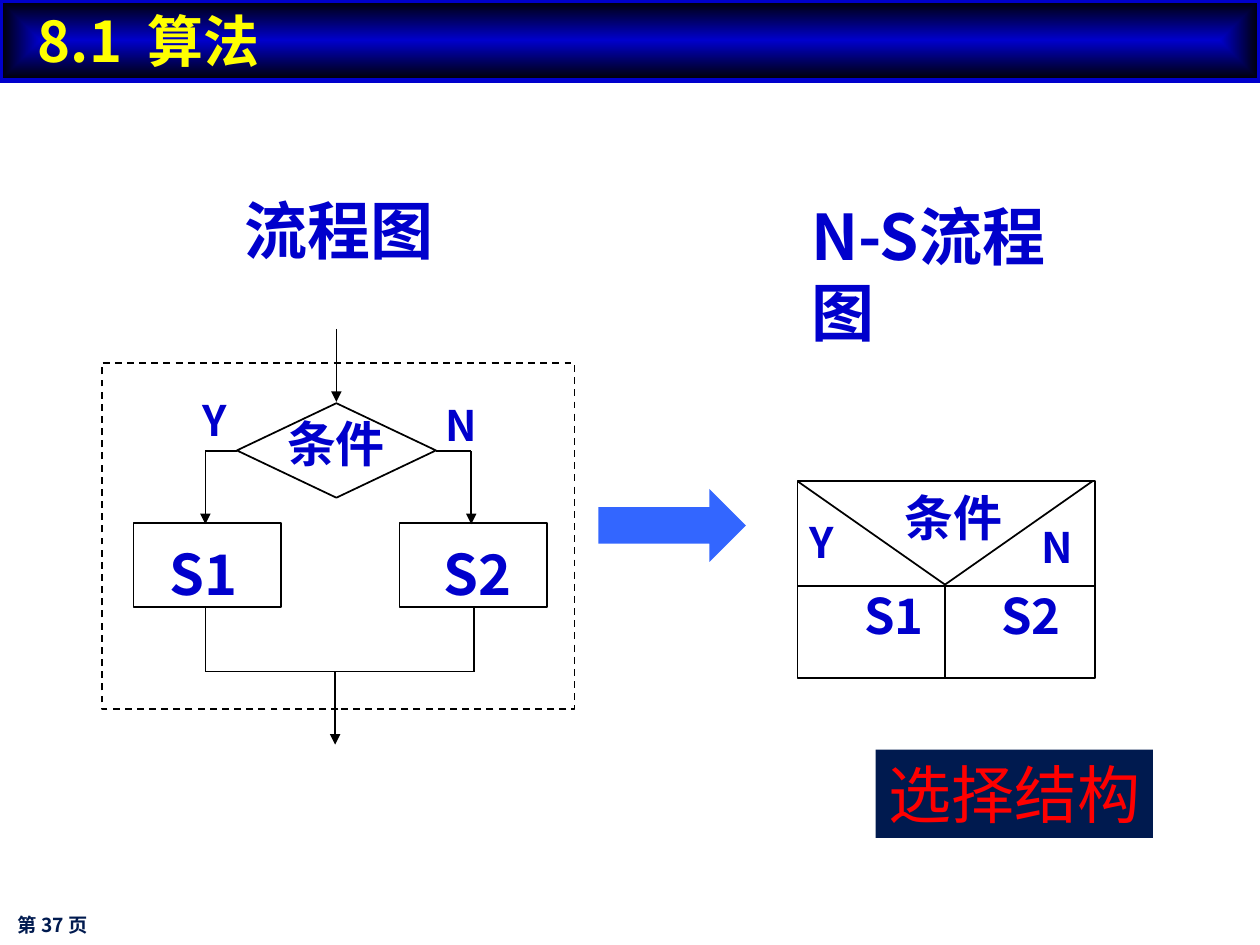
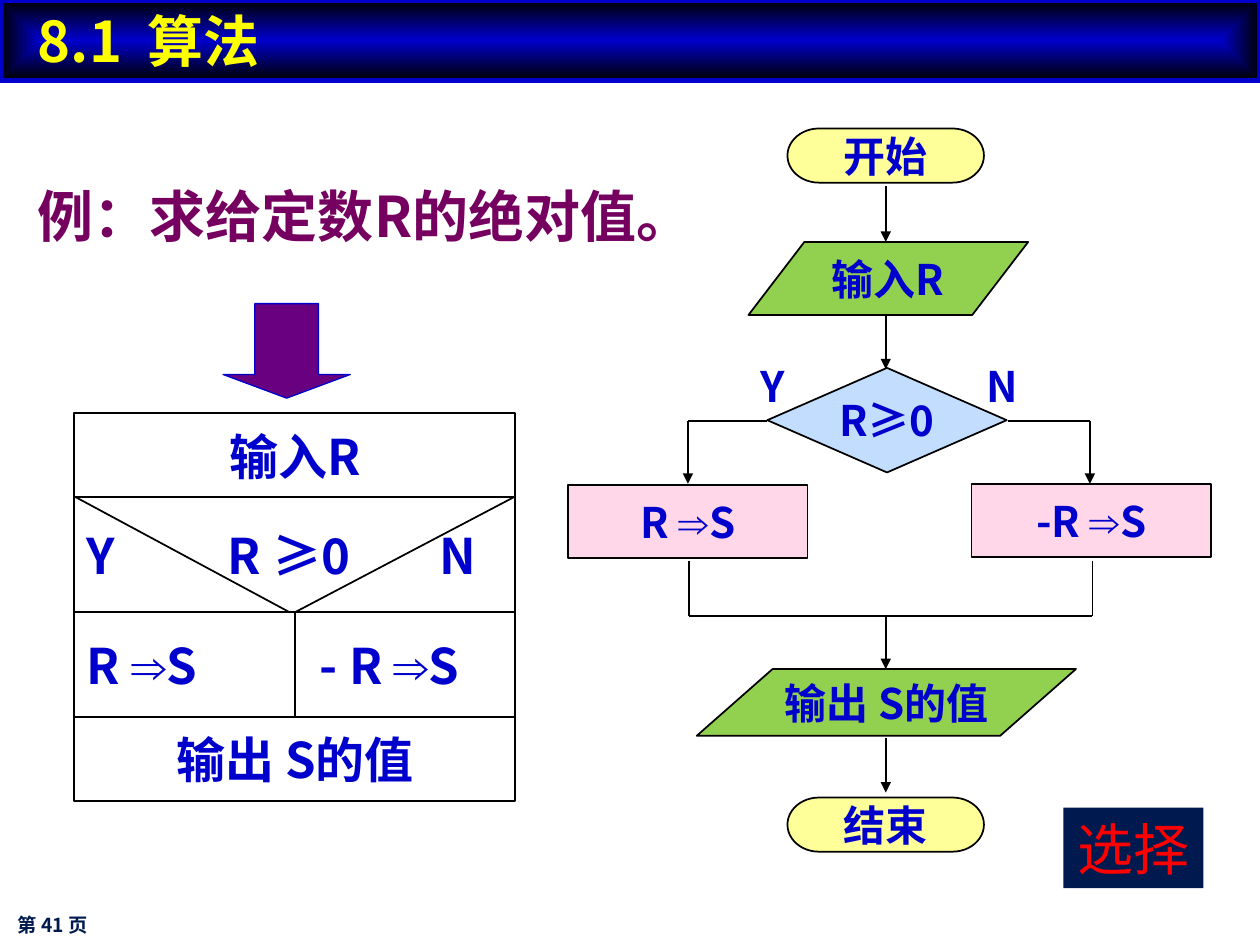
from itertools import groupby, pairwise

from lxml import etree
from pptx import Presentation
from pptx.dml.color import RGBColor
from pptx.enum.dml import MSO_LINE
from pptx.enum.shapes import MSO_CONNECTOR, MSO_SHAPE
from pptx.enum.text import MSO_ANCHOR, MSO_AUTO_SIZE, PP_ALIGN
from pptx.oxml.ns import qn
from pptx.util import Inches, Pt

RECTANGLE = MSO_SHAPE.RECTANGLE
RIGHT_ARROW = MSO_SHAPE.RIGHT_ARROW
DOWN_ARROW = MSO_SHAPE.DOWN_ARROW
DECISION = MSO_SHAPE.FLOWCHART_DECISION
PROCESS = MSO_SHAPE.FLOWCHART_PROCESS
TERMINATOR = MSO_SHAPE.FLOWCHART_TERMINATOR
INPUT_OUTPUT = MSO_SHAPE.FLOWCHART_DATA
STRAIGHT = MSO_CONNECTOR.STRAIGHT
DASH = MSO_LINE.DASH
LEFT, CENTER = PP_ALIGN.LEFT, PP_ALIGN.CENTER
TOP, MIDDLE = MSO_ANCHOR.TOP, MSO_ANCHOR.MIDDLE
NO_AUTOFIT = MSO_AUTO_SIZE.NONE

TITLE_ONLY_LAYOUT = 5
BODY_FONT = "Noto Sans CJK SC"
TITLE_FONT = "Noto Sans CJK JP"
SYMBOL_FONT = "Arial"
BLUE = "0000CC"
BLACK = "000000"
NAVY = "001A4F"
RED = "FF0000"
YELLOW = "FFFF00"
PURPLE = "68007F"
PLUM = "75005F"
ARROW_BLUE = "3366FF"
PALE_YELLOW = "FFFF99"
PALE_BLUE = "C3DDFF"
PINK = "FFD7E8"
GREEN = "92D050"


def color(hex_value):
    return RGBColor.from_string(hex_value)


class Deck:
    def __init__(self):
        self.presentation = Presentation()
        self.presentation.slide_width = Inches(10)
        self.presentation.slide_height = Inches(7.5)
        self.slide = None

    def add_slide(self, title, page_number):
        layout = self.presentation.slide_layouts[TITLE_ONLY_LAYOUT]
        self.slide = self.presentation.slides.add_slide(layout)
        self.title_band(title)
        self.label(f"第 {page_number} 页", 0.04, 7.15, 2.67, 0.38,
                   size=11, hex_color=NAVY, anchor=MIDDLE)

    def title_band(self, text):
        band = self.slide.shapes.title
        place = {"left": 0, "top": 0, "width": 10, "height": 0.64}
        for name, value in place.items():
            setattr(band, name, Inches(value))
        band.fill.gradient()
        for stop, hex_value in zip(band.fill.gradient_stops, (BLUE, BLACK)):
            stop.color.rgb = color(hex_value)
        gradient = band.element.spPr.find(qn("a:gradFill"))
        gradient.remove(gradient.find(qn("a:lin")))
        shade = etree.SubElement(gradient, qn("a:path"), {"path": "rect"})
        sides = dict.fromkeys("ltrb", "50000")
        etree.SubElement(shade, qn("a:fillToRect"), sides)
        self.outline(band, BLUE, 3)
        self.set_text(band, text, size=32, hex_color=YELLOW,
                      font_name=TITLE_FONT, anchor=MIDDLE, inset=0.3)

    def outline(self, shape, hex_color, width):
        shape.line.color.rgb = color(hex_color)
        shape.line.width = Pt(width)

    def set_text(self, shape, text, size=24, hex_color=BLUE, bold=True,
                 align=LEFT, anchor=TOP, wrap=True, font_name=BODY_FONT,
                 inset=0.1):
        """Fill a shape with one paragraph, giving arrow symbols their own font."""
        frame = shape.text_frame
        frame_values = {
            "auto_size": NO_AUTOFIT, "word_wrap": wrap, "vertical_anchor": anchor,
            "margin_left": Inches(inset), "margin_right": Inches(0.1),
            "margin_top": Inches(0.05), "margin_bottom": Inches(0.05),
        }
        for name, value in frame_values.items():
            setattr(frame, name, value)
        paragraph = frame.paragraphs[0]
        paragraph.alignment = align
        for is_symbol, letters in groupby(text, lambda letter: letter == "⇒"):
            run = paragraph.add_run()
            run.text = "".join(letters)
            typeface = SYMBOL_FONT if is_symbol else font_name
            font_values = {"size": Pt(size), "bold": bold, "name": typeface}
            for name, value in font_values.items():
                setattr(run.font, name, value)
            run.font.color.rgb = color(hex_color)
            properties = run._r.get_or_add_rPr()
            etree.SubElement(properties, qn("a:ea"), {"typeface": typeface})

    def label(self, text, left, top, width, height, **text_format):
        box = self.slide.shapes.add_textbox(
            *map(Inches, (left, top, width, height)))
        self.set_text(box, text, **text_format)

    def shape(self, kind, left, top, width, height, text="", fill=None,
              line=BLACK, line_width=1, **text_format):
        shape = self.slide.shapes.add_shape(
            kind, *map(Inches, (left, top, width, height)))
        shape.shadow.inherit = False
        if fill:
            shape.fill.solid()
            shape.fill.fore_color.rgb = color(fill)
        else:
            shape.fill.background()
        if line:
            self.outline(shape, line, line_width)
        else:
            shape.line.fill.background()
        if text:
            centred = {"align": CENTER, "anchor": MIDDLE, "wrap": False}
            self.set_text(shape, text, **(centred | text_format))
        return shape

    def route(self, *points, arrow=False):
        """Join the points with straight lines, ending in an arrowhead if asked."""
        for start, end in pairwise(points):
            connector = self.slide.shapes.add_connector(
                STRAIGHT, *map(Inches, (*start, *end)))
            self.outline(connector, BLACK, 1)
            properties = connector._element.spPr
            etree.SubElement(properties, qn("a:effectLst"))
            if arrow and end == points[-1]:
                etree.SubElement(properties.find(qn("a:ln")), qn("a:tailEnd"),
                                 {"type": "triangle"})

    def topic_tag(self, text, left, top, width, height, size):
        self.shape(RECTANGLE, left, top, width, height, text, fill=NAVY,
                   line=None, size=size, hex_color=RED, bold=False)


def selection_flowchart(deck):
    deck.label("流程图", 1.84, 1.47, 1.7, 0.7, size=36, wrap=False)
    scope = deck.shape(RECTANGLE, 0.81, 2.88, 3.75, 2.75)
    scope.line.dash_style = DASH
    deck.route((2.67, 2.61), (2.67, 3.19), arrow=True)
    deck.shape(DECISION, 1.88, 3.2, 1.58, 0.75)
    deck.label("条件", 2.18, 3.23, 1.33, 0.57, size=28)
    deck.label("Y", 1.51, 3.08, 0.58, 0.5)
    deck.label("N", 3.44, 3.12, 0.42, 0.5)
    branches = (("S1", 1.06, 1.25, 1.88, 1.63), ("S2", 3.17, 3.42, 3.46, 3.74))
    for name, box_left, label_left, corner, branch in branches:
        deck.shape(RECTANGLE, box_left, 4.15, 1.17, 0.67)
        deck.label(name, label_left, 4.23, 0.83, 0.64, size=32)
        deck.route((corner, 3.58), (branch, 3.58), (branch, 4.16), arrow=True)
    deck.route((1.63, 4.82), (1.63, 5.33), (3.76, 5.33), (3.76, 4.82))
    deck.route((2.66, 5.33), (2.66, 5.91), arrow=True)


def selection_ns_chart(deck):
    deck.label("N-S流程图", 6.34, 1.52, 2.4, 1.3, size=36)
    deck.shape(RECTANGLE, 6.33, 3.82, 2.36, 1.56)
    deck.route((6.33, 4.65), (8.69, 4.65))
    deck.route((6.33, 3.82), (7.5, 4.64), (8.67, 3.82))
    deck.route((7.5, 4.65), (7.5, 5.38))
    deck.label("条件", 7.08, 3.82, 1.33, 0.57, size=28)
    deck.label("Y", 6.33, 4.05, 1, 0.5)
    deck.label("N", 8.17, 4.09, 0.42, 0.5)
    for name, left in (("S1", 6.76), ("S2", 7.85)):
        deck.label(name, left, 4.6, 0.8, 0.66, size=28)


def absolute_value_ns_chart(deck):
    left, width, middle = 0.59, 3.5, 2.34
    right = left + width
    deck.shape(RECTANGLE, left, 3.28, width, 0.67, "输入R", size=28)
    deck.shape(RECTANGLE, left, 3.94, width, 0.92)
    deck.shape(RECTANGLE, left, 4.86, width, 0.83)
    deck.shape(RECTANGLE, left, 5.69, width, 0.67, "输出 S的值", size=28)
    deck.route((left, 3.94), (2.3, 4.86))
    deck.route((right, 3.94), (middle, 4.86), (middle, 5.69))
    cells = (("Y", left, 3.94, 0.92), ("R ≥0", 1.71, 3.94, 0.92),
             ("N", 3.39, 3.94, 0.92), ("R ⇒S", left, 4.86, 0.83),
             ("- R ⇒S", 2.44, 4.86, 0.83))
    for text, cell_left, top, height in cells:
        deck.label(text, cell_left, top, 1.5, height, size=28, anchor=MIDDLE)


def absolute_value_flowchart(deck):
    axis = 7.03
    steps = (
        (TERMINATOR, 6.25, 1.02, 1.56, 0.43, "开始", PALE_YELLOW),
        (INPUT_OUTPUT, 5.94, 1.92, 2.22, 0.58, "输入R", GREEN),
        (DECISION, 6.09, 2.92, 1.9, 0.83, "R≥0", PALE_BLUE),
        (PROCESS, 4.51, 3.85, 1.9, 0.58, "R ⇒S", PINK),
        (PROCESS, 7.71, 3.84, 1.9, 0.58, "-R ⇒S", PINK),
        (INPUT_OUTPUT, 5.53, 5.31, 3.01, 0.53, "输出 S的值", GREEN),
        (TERMINATOR, 6.25, 6.33, 1.56, 0.43, "结束", PALE_YELLOW),
    )
    for kind, left, top, width, height, text, fill in steps:
        deck.shape(kind, left, top, width, height, text, fill=fill)
    for start, end in ((1.48, 1.92), (2.5, 2.93), (4.88, 5.31), (5.86, 6.29)):
        deck.route((axis, start), (axis, end), arrow=True)
    for corner, branch in ((6.09, 5.46), (8, 8.65)):
        deck.route((corner, 3.34), (branch, 3.34), (branch, 3.84), arrow=True)
    deck.route((5.47, 4.45), (5.47, 4.89), (8.67, 4.89), (8.67, 4.45))
    for answer, left in (("Y", 5.94), ("N", 7.73)):
        deck.label(answer, left, 2.81, 0.63, 0.5)


def main():
    deck = Deck()
    section = "8.1  算法"

    deck.add_slide(section, 37)
    selection_flowchart(deck)
    deck.shape(RIGHT_ARROW, 4.75, 3.88, 1.17, 0.58, fill=ARROW_BLUE, line=None)
    selection_ns_chart(deck)
    deck.topic_tag("选择结构", 6.95, 5.95, 2.2, 0.7, 36)

    deck.add_slide(section, 41)
    deck.label("例：求给定数R的绝对值。", 0.2, 1.39, 5.39, 1.17,
               size=32, hex_color=PLUM)
    arrow = deck.shape(DOWN_ARROW, 1.77, 2.41, 1.01, 0.75, fill=PURPLE,
                       line=BLUE, line_width=0.75)
    arrow.adjustments[1] = 0.25
    absolute_value_ns_chart(deck)
    absolute_value_flowchart(deck)
    deck.topic_tag("选择", 8.44, 6.41, 1.11, 0.64, 32)

    deck.presentation.save("out.pptx")


if __name__ == "__main__":
    main()
